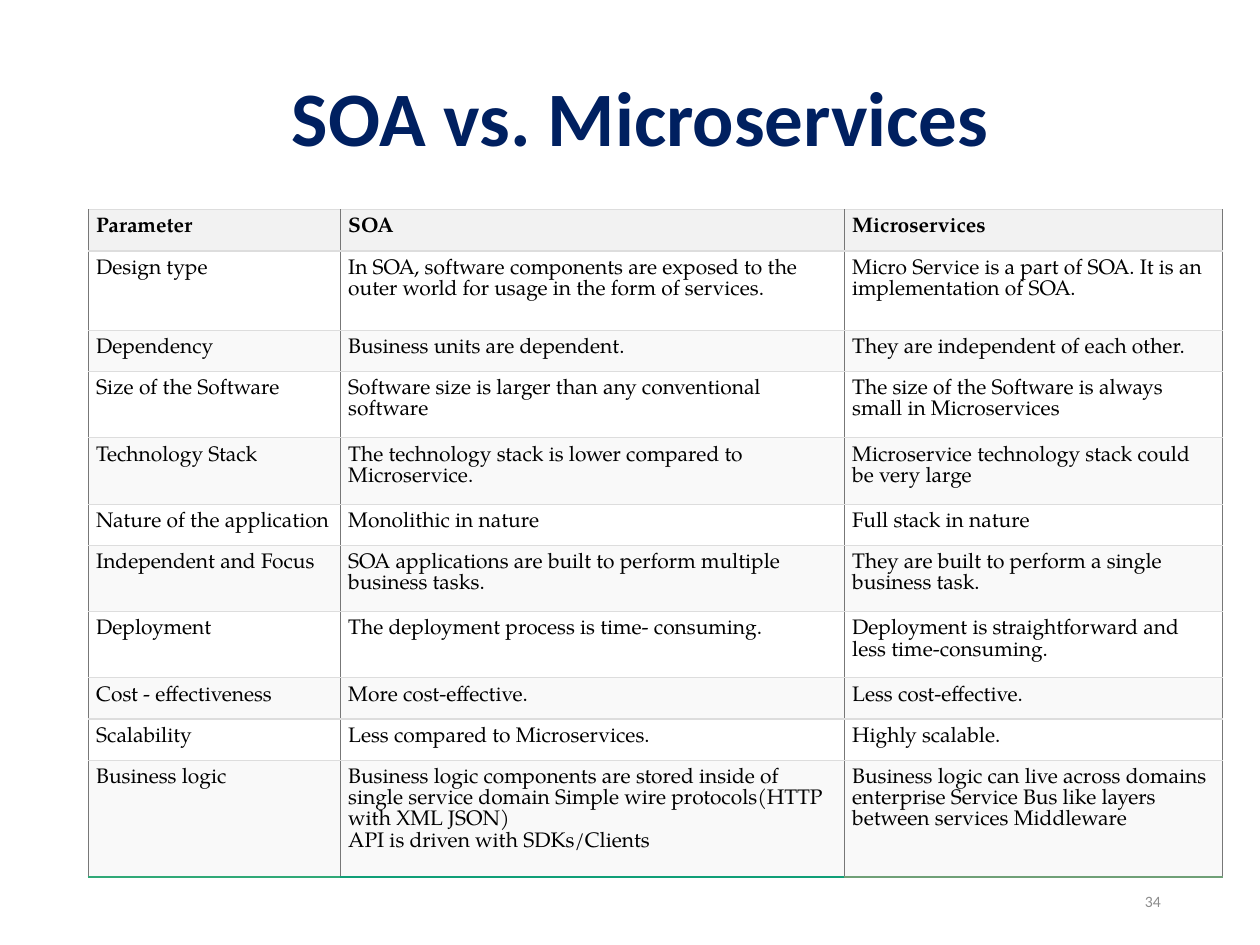
import pptx
import pptx.util
import pptx.dml.color
import pptx.enum.text
import pptx.oxml.ns
import lxml.etree

Cm = pptx.util.Cm
Pt = pptx.util.Pt
RGBColor = pptx.dml.color.RGBColor
PP_ALIGN = pptx.enum.text.PP_ALIGN
MSO_ANCHOR = pptx.enum.text.MSO_ANCHOR

NAVY = RGBColor(0x00, 0x20, 0x60)
BLACK = RGBColor(0x00, 0x00, 0x00)
GRAY = RGBColor(0x8C, 0x8C, 0x8C)
HEADER_FILL = RGBColor(0xF2, 0xF2, 0xF2)
BAND_FILLS = (RGBColor(0xF9, 0xF9, 0xF9), RGBColor(0xFF, 0xFF, 0xFF))
ROW_LINE = RGBColor(0xDD, 0xDD, 0xDD)
COLUMN_LINE = RGBColor(0x77, 0x77, 0x77)
BOTTOM_LINES = (
    RGBColor(0x30, 0xA9, 0x77),
    RGBColor(0x10, 0x9F, 0x77),
    RGBColor(0x70, 0xA0, 0x77),
)

TITLE = "SOA vs. Microservices"
PAGE_NUMBER = "34"
COLUMN_WIDTHS = (5.08, 10.16, 7.62)
COMPARISON = [
    (0.74, "Parameter", "SOA", "Microservices"),
    (1.6, "Design type",
     "In SOA, software components are exposed to the outer world for usage in the form of services.",
     "Micro Service is a part of SOA. It is an implementation of SOA."),
    (0.74, "Dependency", "Business units are dependent.", "They are independent of each other."),
    (1.17, "Size of the Software",
     "Software size is larger than any conventional software",
     "The size of the Software is always small in Microservices"),
    (1.17, "Technology Stack",
     "The technology stack is lower compared to Microservice.",
     "Microservice technology stack could be very large"),
    (0.74, "Nature of the application", "Monolithic in nature", "Full stack in nature"),
    (1.17, "Independent and Focus",
     "SOA applications are built to perform multiple business tasks.",
     "They are built to perform a single business task."),
    (1.17, "Deployment",
     "The deployment process is time- consuming.",
     "Deployment is straightforward and less time-consuming."),
    (0.46, "Cost - effectiveness", "More cost-effective.", "Less cost-effective."),
    (0.74, "Scalability", "Less compared to Microservices.", "Highly scalable."),
    (2.03, "Business logic",
     "Business logic components are stored inside of single service domain "
     "Simple wire protocols(HTTP with XML JSON)\vAPI is driven with SDKs/Clients",
     "Business logic can live across domains enterprise Service Bus like layers "
     "between services Middleware"),
]


def format_runs(paragraph, font_name, size, color, bold=False):
    for run in paragraph.runs:
        run.font.name = font_name
        run.font.size = Pt(size)
        run.font.color.rgb = color
        run.font.bold = bold


def set_borders(cell, bottom_color, bottom_width):
    properties = cell._tc.get_or_add_tcPr()
    borders = (
        ("a:lnL", COLUMN_LINE, 1),
        ("a:lnR", COLUMN_LINE, 1),
        ("a:lnT", ROW_LINE, 0.75),
        ("a:lnB", bottom_color, bottom_width),
    )
    for position, (tag, color, width) in enumerate(borders):
        line = lxml.etree.Element(pptx.oxml.ns.qn(tag), w=str(Pt(width)))
        fill = lxml.etree.SubElement(line, pptx.oxml.ns.qn("a:solidFill"))
        lxml.etree.SubElement(fill, pptx.oxml.ns.qn("a:srgbClr"), val=str(color))
        properties.insert(position, line)


def add_title(slide):
    title = slide.shapes.title
    title.left, title.top, title.width, title.height = Cm(1.7), Cm(1.27), Cm(22.43), Cm(2.13)
    title.text_frame.text = TITLE
    title.text_frame.vertical_anchor = MSO_ANCHOR.TOP
    paragraph = title.text_frame.paragraphs[0]
    paragraph.alignment = PP_ALIGN.CENTER
    format_runs(paragraph, "Calibri", 44, NAVY, bold=True)


def add_page_number(slide):
    text_box = slide.shapes.add_textbox(Cm(17.93), Cm(17.65), Cm(5.72), Cm(1.02))
    text_frame = text_box.text_frame
    text_frame.word_wrap = True
    text_frame.vertical_anchor = MSO_ANCHOR.MIDDLE
    text_frame.text = PAGE_NUMBER
    text_frame.paragraphs[0].alignment = PP_ALIGN.RIGHT
    format_runs(text_frame.paragraphs[0], "Calibri", 9, GRAY)


def add_comparison_table(slide):
    table_height = sum(row[0] for row in COMPARISON)
    table = slide.shapes.add_table(
        len(COMPARISON), len(COLUMN_WIDTHS),
        Cm(1.78), Cm(4.23), Cm(sum(COLUMN_WIDTHS)), Cm(table_height),
    ).table
    for column, width in zip(table.columns, COLUMN_WIDTHS):
        column.width = Cm(width)
    last_row = len(COMPARISON) - 1
    for row_index, (height, *texts) in enumerate(COMPARISON):
        table.rows[row_index].height = Cm(height)
        is_header = row_index == 0
        for column_index, text in enumerate(texts):
            cell = table.cell(row_index, column_index)
            cell.text_frame.text = text
            cell.margin_left = cell.margin_right = Cm(0.16)
            cell.margin_top = cell.margin_bottom = Cm(0.16)
            cell.fill.solid()
            cell.fill.fore_color.rgb = HEADER_FILL if is_header else BAND_FILLS[row_index % 2]
            format_runs(cell.text_frame.paragraphs[0], "TeX Gyre Pagella", 12, BLACK, bold=is_header)
            if row_index == last_row:
                set_borders(cell, BOTTOM_LINES[column_index], 1)
            else:
                set_borders(cell, ROW_LINE, 0.75)


def main():
    presentation = pptx.Presentation()
    presentation.slide_width, presentation.slide_height = Cm(25.4), Cm(19.05)
    slide = presentation.slides.add_slide(presentation.slide_layouts[5])
    add_page_number(slide)
    add_title(slide)
    add_comparison_table(slide)
    presentation.save("out.pptx")


if __name__ == "__main__":
    main()
